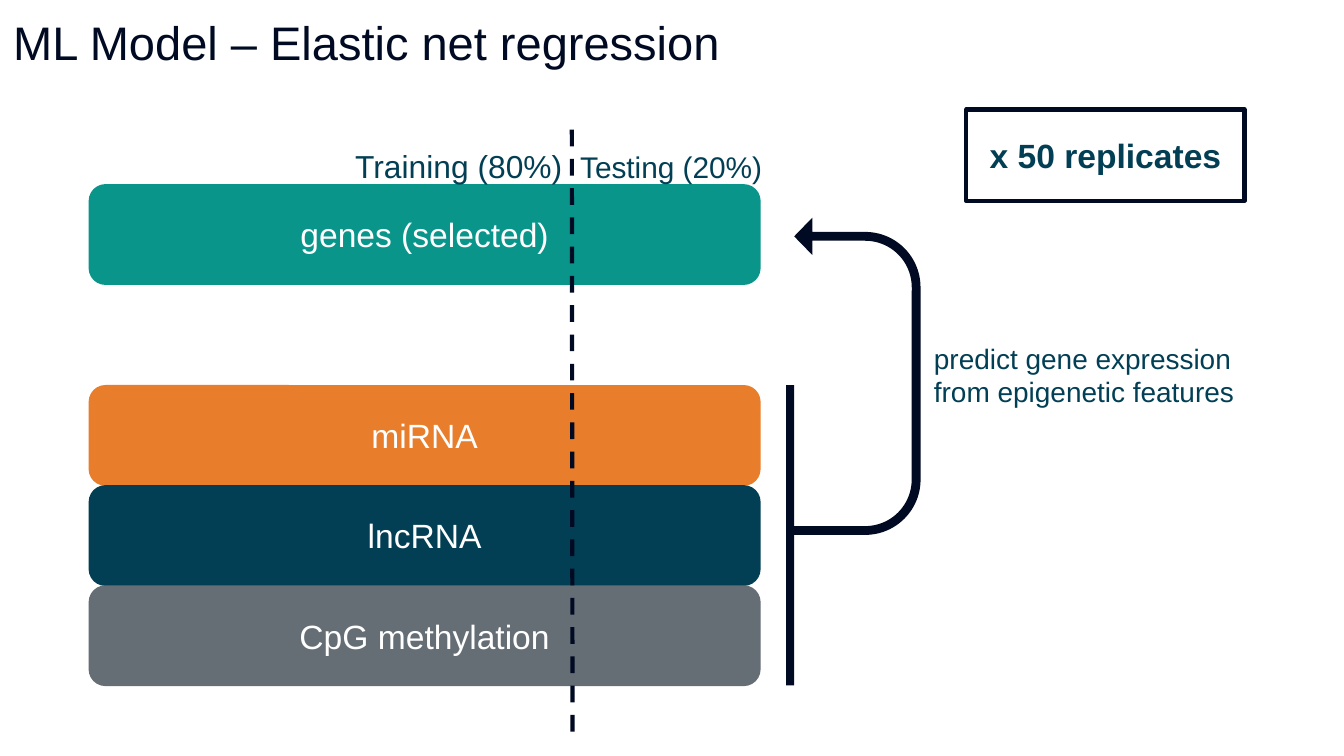
from lxml import etree
from pptx import Presentation
from pptx import util as u
from pptx.dml.color import RGBColor
from pptx.enum import dml, shapes, text
from pptx.oxml.ns import qn

PX = 4572  # 200 px to the inch
INK = RGBColor(0x00, 0x0A, 0x23)
NAVY = RGBColor(0x02, 0x3F, 0x54)
TEAL = RGBColor(0x0A, 0x95, 0x8B)
ORANGE = RGBColor(0xE8, 0x7E, 0x2B)
GREY = RGBColor(0x65, 0x6D, 0x75)
WHITE = RGBColor(0xFF, 0xFF, 0xFF)

BAR_LEFT, BAR_WIDTH, BAR_HEIGHT = 132, 1000, 150
GENES_TOP, FEATURES_TOP, FEATURE_STEP = 274, 573, 149
FEATURES = [("miRNA", ORANGE), ("lncRNA", NAVY), ("CpG methylation", GREY)]

CENTERED = dict(align=text.PP_ALIGN.CENTER, anchor=text.MSO_ANCHOR.MIDDLE)


def px(*values):
    return [u.Emu(v * PX) for v in values]


def add_run(p, words, size, color, bold=False):
    r = p.add_run()
    r.text = words
    for name, value in dict(name="Arial", size=u.Pt(size), bold=bold).items():
        setattr(r.font, name, value)
    r.font.color.rgb = color


def write(sp, runs, color, align=text.PP_ALIGN.LEFT,
          anchor=text.MSO_ANCHOR.TOP, bold=False):
    tf = sp.text_frame
    inset, = px(20)
    frame = dict(word_wrap=True, vertical_anchor=anchor, margin_left=inset,
                 margin_right=inset, margin_top=inset, margin_bottom=inset)
    for name, value in frame.items():
        setattr(tf, name, value)
    p = tf.paragraphs[0]
    p.alignment = align
    for words, size in runs:
        add_run(p, words, size, color, bold)
    return p


def add_text(s, box, runs, color, **layout):
    return write(s.shapes.add_textbox(*px(*box)), runs, color, **layout)


def add_shape(s, kind, box, fill=None, line=None):
    sp = s.shapes.add_shape(kind, *px(*box))
    sp.shadow.inherit = False
    if fill is None:
        sp.fill.background()
    else:
        sp.fill.solid()
        sp.fill.fore_color.rgb = fill
    if line is None:
        sp.line.fill.background()
    else:
        sp.line.color.rgb = line
        sp.line.width = u.Pt(2.25)
    return sp


def add_bar(s, top, label, fill):
    sp = add_shape(s, shapes.MSO_SHAPE.ROUNDED_RECTANGLE,
                   (BAR_LEFT, top, BAR_WIDTH, BAR_HEIGHT), fill)
    write(sp, [(label, 18)], WHITE, **CENTERED)


def add_dashed_line(s, ends):
    line = s.shapes.add_connector(shapes.MSO_CONNECTOR.STRAIGHT, *px(*ends))
    line.line.color.rgb = INK
    line.line.width = u.Pt(2.25)
    line.line.dash_style = dml.MSO_LINE.DASH
    etree.SubElement(line._element.spPr, qn("a:effectLst"))


def add_split_labels(s):
    p = add_text(s, (132, 198, 1022, 76),
                 [("Training (80%)", 17), (" ", 17), ("Testing (20%)", 16)],
                 NAVY, align=text.PP_ALIGN.RIGHT)
    # Widen the space so that the labels clear the dashed line
    p.runs[1].font._element.set("spc", "470")


def add_uturn_arrow(s):
    sp = add_shape(s, shapes.MSO_SHAPE.U_TURN_ARROW, (1040, 466, 472, 188), INK)
    for i, value in enumerate([0.07, 0.147, 0.143, 0.438, 1]):
        sp.adjustments[i] = value
    sp.rotation = 90
    sp._element.spPr.xfrm.set("flipH", "1")


def main():
    prs = Presentation()
    prs.slide_width, prs.slide_height = px(2000, 1125)
    s = prs.slides.add_slide(prs.slide_layouts[6])

    # Title
    add_text(s, (0, 0, 1864, 126), [("ML Model – Elastic net regression", 25.2)], INK)

    # Data layers: the target, then the stacked features
    add_bar(s, GENES_TOP, "genes (selected)", TEAL)
    for i, (label, fill) in enumerate(FEATURES):
        add_bar(s, FEATURES_TOP + i * FEATURE_STEP, label, fill)

    # Training and testing split
    add_dashed_line(s, (851, 193, 852, 1102))
    add_split_labels(s)

    # Prediction from features to genes
    add_uturn_arrow(s)
    add_shape(s, shapes.MSO_SHAPE.RECTANGLE,
              (1170, FEATURES_TOP, 12, len(FEATURES) * FEATURE_STEP), INK)
    add_text(s, (1370, 488, 498, 150),
             [("predict gene expression from epigenetic features", 15)], NAVY)

    # Replicates
    box = add_shape(s, shapes.MSO_SHAPE.RECTANGLE, (1438, 163, 414, 136), line=INK)
    write(box, [("x 50 replicates", 18)], NAVY, bold=True, **CENTERED)

    prs.save("out.pptx")


if __name__ == "__main__":
    main()
